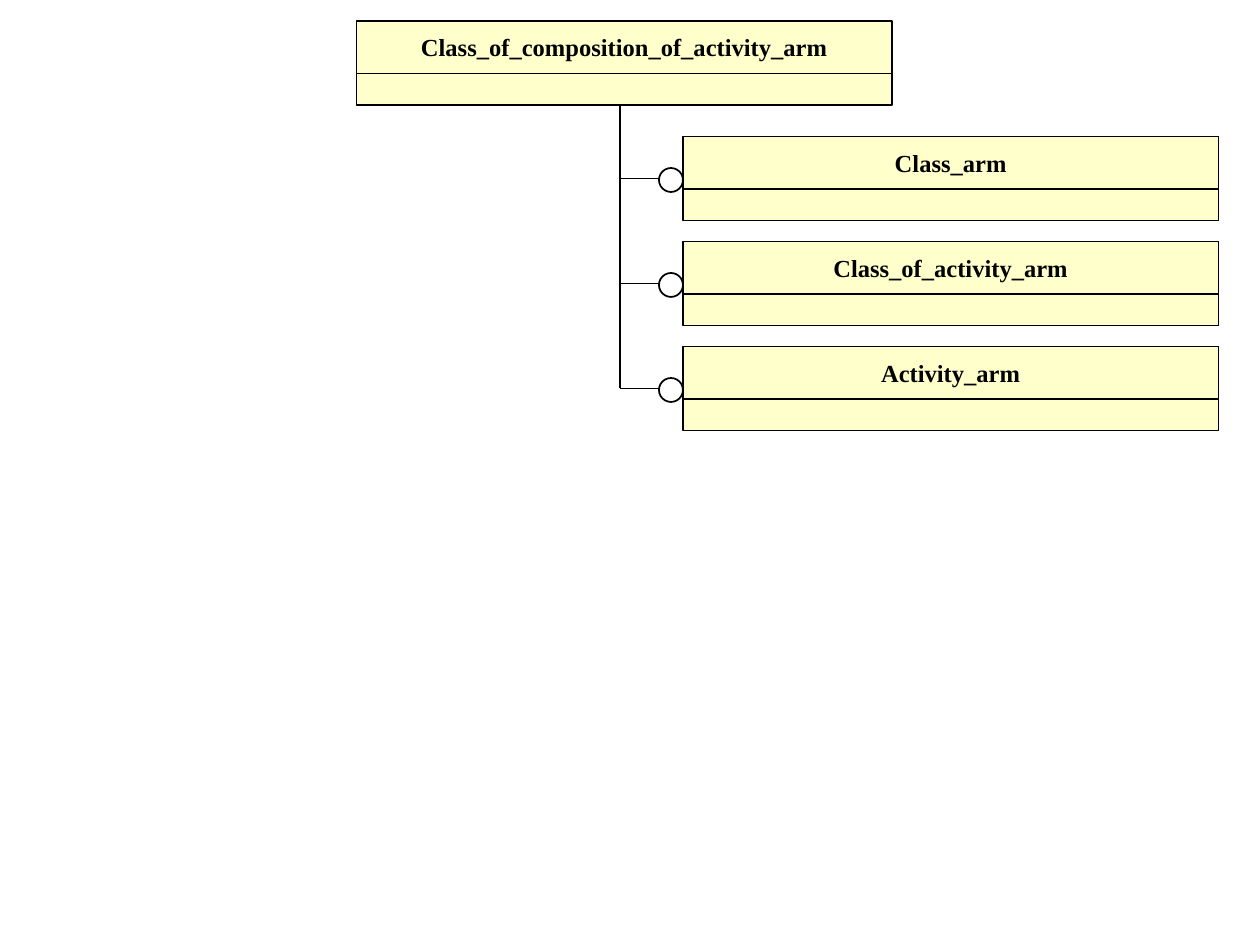
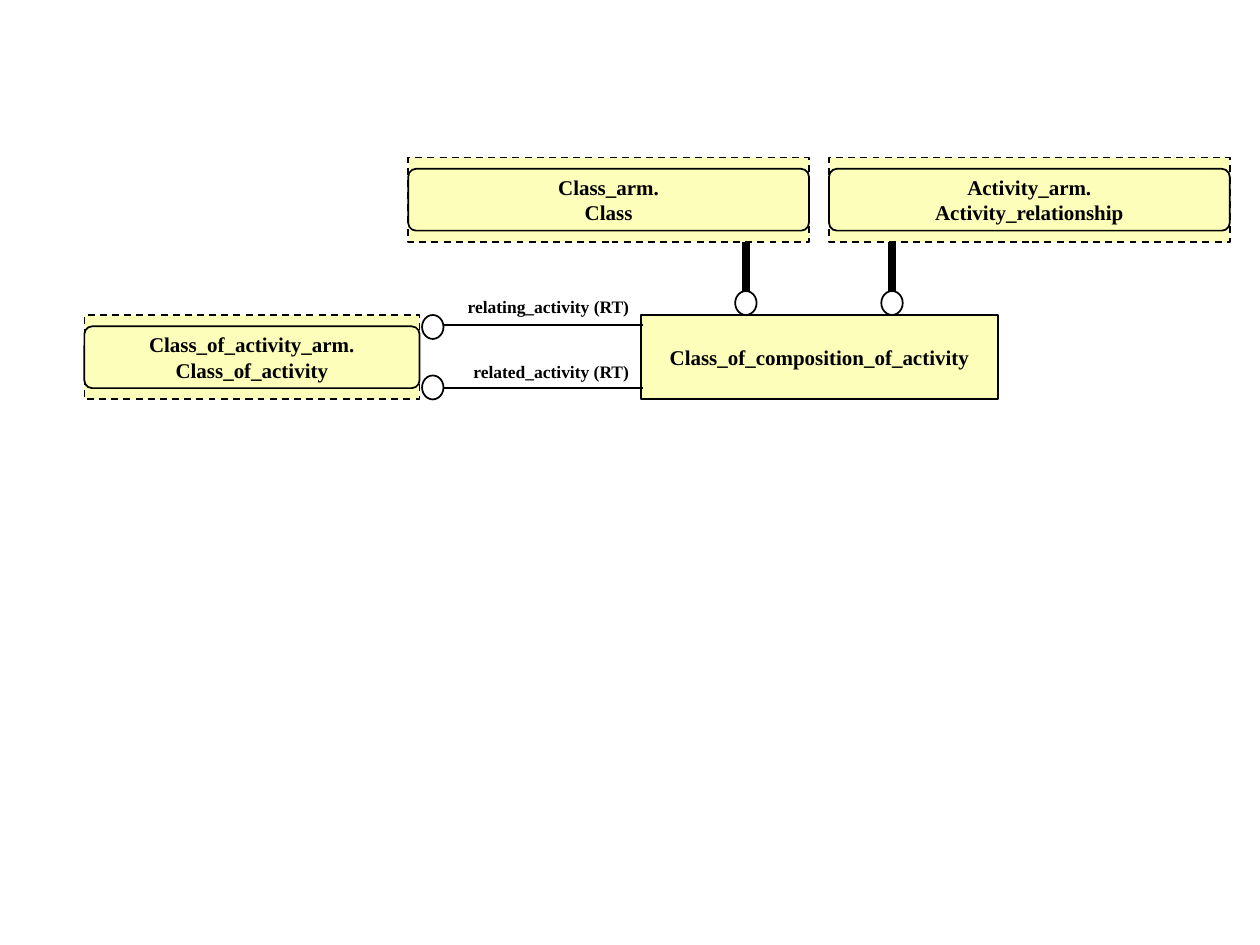
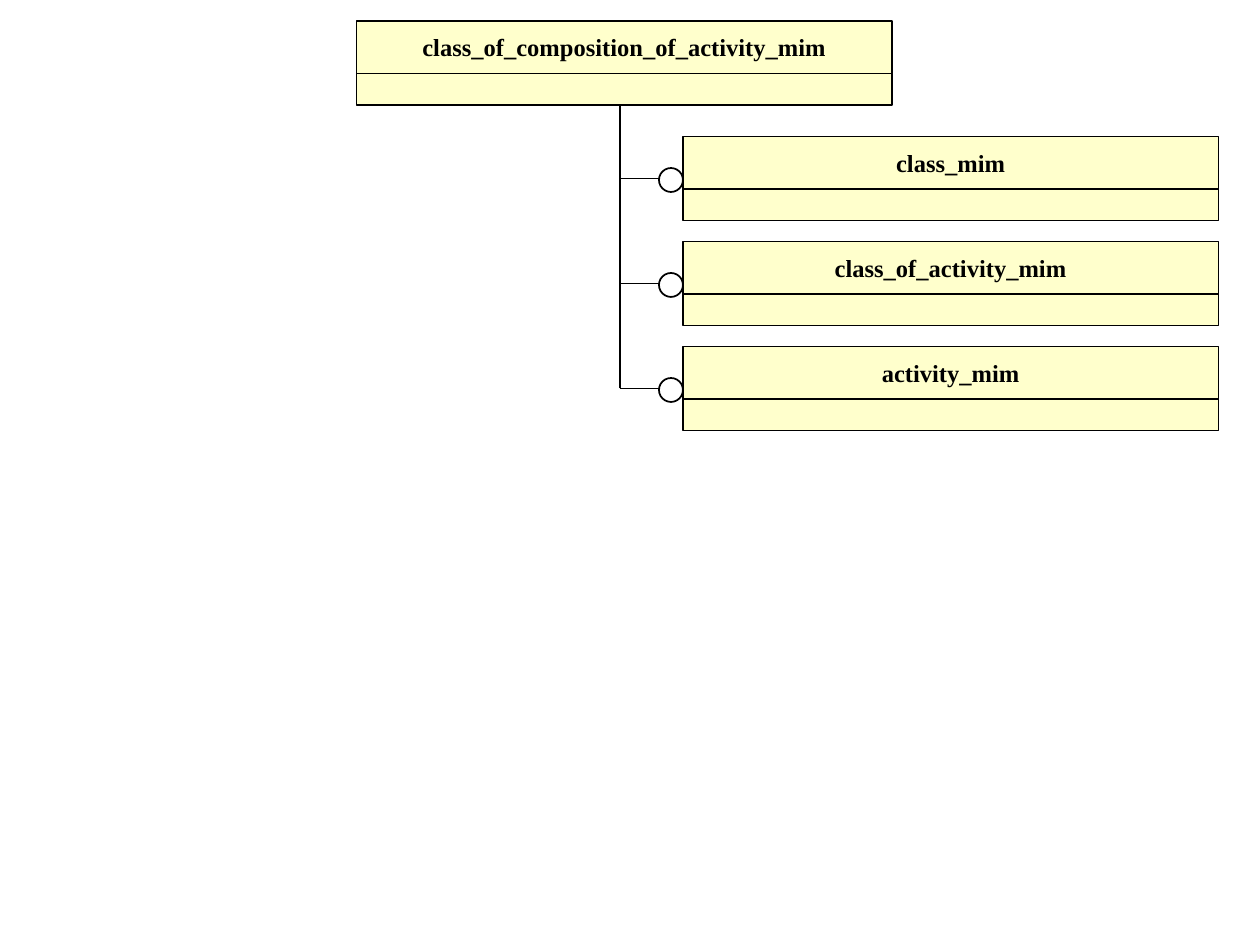
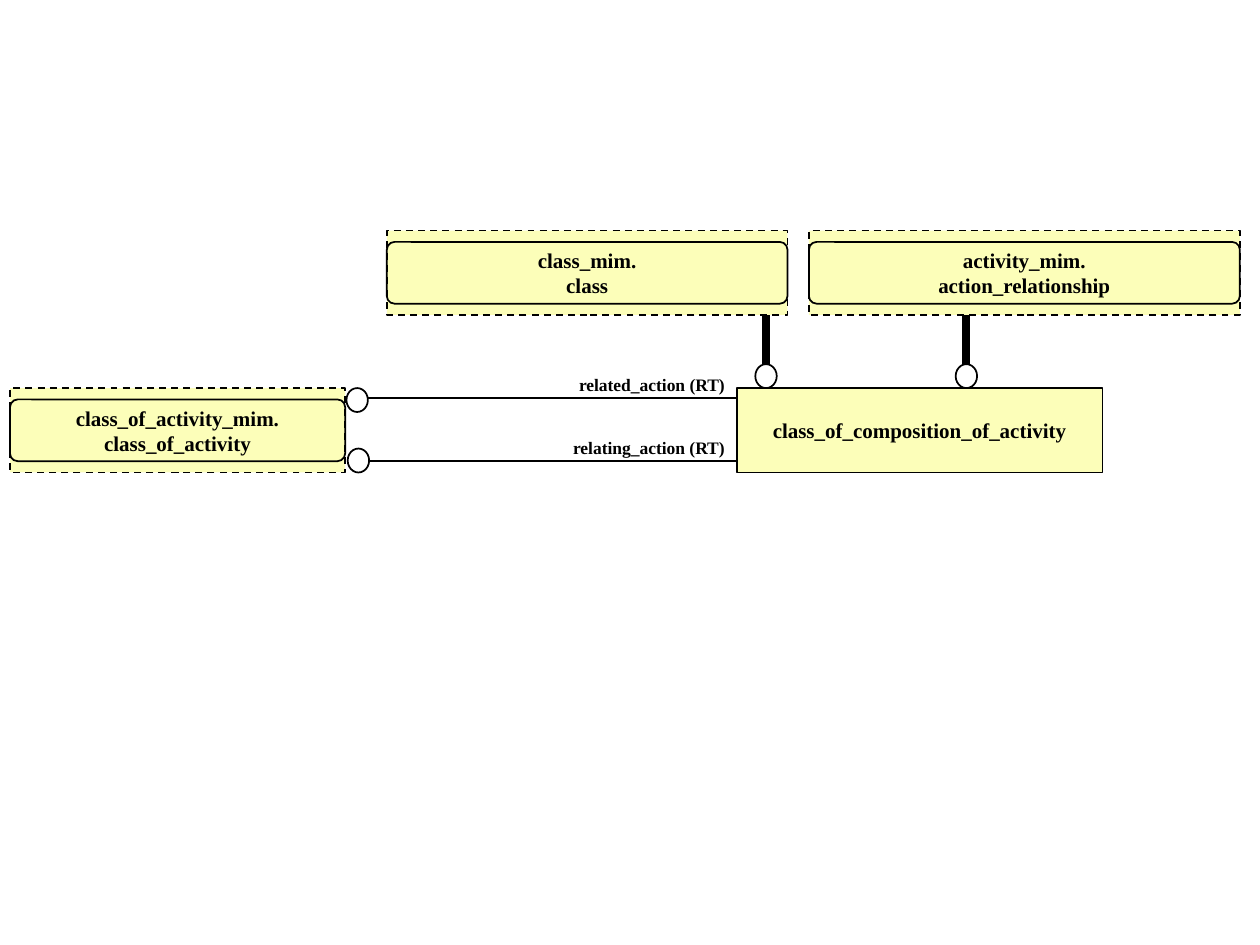
from pptx import Presentation
from pptx.dml.color import RGBColor
from pptx.enum.dml import MSO_LINE
from pptx.enum.shapes import MSO_CONNECTOR, MSO_SHAPE
from pptx.enum.text import MSO_ANCHOR, MSO_AUTO_SIZE, PP_ALIGN
from pptx.oxml.ns import qn
from pptx.util import Inches, Pt

RECT, ROUNDED, OVAL = MSO_SHAPE.RECTANGLE, MSO_SHAPE.ROUNDED_RECTANGLE, MSO_SHAPE.OVAL
STRAIGHT = MSO_CONNECTOR.STRAIGHT
CENTER, RIGHT = PP_ALIGN.CENTER, PP_ALIGN.RIGHT
MIDDLE = MSO_ANCHOR.MIDDLE
GROW = MSO_AUTO_SIZE.SHAPE_TO_FIT_TEXT
DASH = MSO_LINE.DASH

FONT = "Times New Roman"
BLACK, WHITE, CREAM, YELLOW = "000000", "FFFFFF", "FFFFCC", "FCFEB9"

ARM_SCHEMA = ("Class_of_composition_of_activity_arm",
              ["Class_arm", "Class_of_activity_arm", "Activity_arm"])
MIM_SCHEMA = ("class_of_composition_of_activity_mim",
              ["class_mim", "class_of_activity_mim", "activity_mim"])

# Boxes are (text, left, width); attributes are (text, left, top, circle left);
# supertypes are (text, left, width, x of the inheritance line).
ARM_ENTITIES = {
    "top": 2.5,
    "entity": ("Class_of_composition_of_activity", 5.09, 2.83),
    "target": ("Class_of_activity_arm.\nClass_of_activity", 0.67, 2.66),
    "attributes": [("relating_activity (RT)", 2.62, 2.3, 3.35),
                   ("related_activity (RT)", 3.65, 2.82, 3.35)],
    "supertypes": [("Class_arm.\nClass", 3.24, 3.18, 5.92),
                   ("Activity_arm.\nActivity_relationship", 6.58, 3.18, 7.08)],
}
MIM_ENTITIES = {
    "top": 3.08,
    "entity": ("class_of_composition_of_activity", 5.85, 2.9),
    "target": ("class_of_activity_mim.\nclass_of_activity", 0.08, 2.66),
    "attributes": [("related_action (RT)", 3, 2.92, 2.75),
                   ("relating_action (RT)", 4.42, 3.42, 2.76)],
    "supertypes": [("class_mim.\nclass", 3.07, 3.18, 6.08),
                   ("activity_mim.\naction_relationship", 6.42, 3.42, 7.67)],
}

# Schema tree
SCHEMA_WIDTH, NAME_HEIGHT, EMPTY_HEIGHT = 4.25, 5 / 12, 0.25
ROOT_LEFT, ROOT_TOP = 2.83, 1 / 6
MEMBER_LEFT, MEMBER_TOP, MEMBER_PITCH = 5.42, 13 / 12, 5 / 6
TRUNK_X = 4.92

# Entity diagram
ENTITY_HEIGHT = 0.67
SUPERTYPE_RISE = 1.25
CIRCLE_WIDTH, CIRCLE_HEIGHT = 0.17, 0.19


def color(hex_text):
    return RGBColor.from_string(hex_text)


def write(shape, text, size, align=CENTER):
    frame = shape.text_frame
    frame.text = text
    frame.word_wrap = False
    for para in frame.paragraphs:
        para.alignment = align
        para.font.name = FONT
        para.font.size = Pt(size)
        para.font.bold = True
        para.font.color.rgb = color(BLACK)


def draw(shapes, kind, left, top, width, height, fill=None, weight=1.0):
    shape = shapes.add_shape(kind, Inches(left), Inches(top), Inches(width), Inches(height))
    shape.shadow.inherit = False
    if fill:
        shape.fill.solid()
        shape.fill.fore_color.rgb = color(fill)
    else:
        shape.fill.background()
    shape.line.color.rgb = color(BLACK)
    shape.line.width = Pt(weight)
    return shape


def draw_named(shapes, text, size, *place, **style):
    shape = draw(shapes, RECT, *place, **style)
    shape.text_frame.vertical_anchor = MIDDLE
    write(shape, text, size)
    return shape


def draw_line(page, x1, y1, x2, y2, weight):
    line = page.shapes.add_connector(STRAIGHT, Inches(x1), Inches(y1), Inches(x2), Inches(y2))
    line.line.color.rgb = color(BLACK)
    line.line.width = Pt(weight)
    properties = line._element.spPr
    properties.append(properties.makeelement(qn("a:effectLst"), {}))


def draw_schema(page, name, left, top):
    """Draw a name compartment above an empty one."""
    group = page.shapes.add_group_shape().shapes
    draw_named(group, name, 14, left, top, SCHEMA_WIDTH, NAME_HEIGHT, fill=CREAM, weight=0.75)
    draw(group, RECT, left, top + NAME_HEIGHT, SCHEMA_WIDTH, EMPTY_HEIGHT, CREAM, 0.75)


def draw_reference(page, text, left, top, width):
    """Draw a dashed box around a rounded one, for an entity of another schema."""
    group = page.shapes.add_group_shape().shapes
    box = draw_named(group, text, 12, left, top, width, ENTITY_HEIGHT, fill=YELLOW)
    box.line.dash_style = DASH
    rounded = draw(group, ROUNDED, left, top + 0.09, width, 0.49)
    rounded.adjustments[0] = 0.125


def draw_label(page, text, left, top, right):
    width = right - left
    label = page.shapes.add_textbox(Inches(left), Inches(top), Inches(width), Inches(0.27))
    write(label, text, 10, RIGHT)
    label.text_frame.word_wrap = width > 2
    label.text_frame.auto_size = GROW


def schema_page(page, root, members):
    draw_schema(page, root, ROOT_LEFT, ROOT_TOP)
    tops = [MEMBER_TOP + row * MEMBER_PITCH for row in range(len(members))]
    root_bottom = ROOT_TOP + NAME_HEIGHT + EMPTY_HEIGHT
    draw_line(page, TRUNK_X, tops[-1] + 1 / 3, TRUNK_X, root_bottom, 0.75)
    for member, top in zip(members, tops):
        draw_schema(page, member, MEMBER_LEFT, top)
        draw_line(page, TRUNK_X, top + 1 / 3, 5.25, top + 1 / 3, 0.75)
        draw(page.shapes, OVAL, MEMBER_LEFT - 0.19, top + 0.25, 0.19, 0.19, WHITE)


def entity_page(page, top, entity, target, attributes, supertypes):
    name, left, width = entity
    draw_named(page.shapes, name, 12, left, top, width, ENTITY_HEIGHT, fill=YELLOW)

    text, target_left, target_width = target
    draw_reference(page, text, target_left, top, target_width)
    line_ys = (top + 0.08, top + 0.58)
    circle_tops = (top, top + ENTITY_HEIGHT - CIRCLE_HEIGHT)
    for attribute, line_y, circle_top in zip(attributes, line_ys, circle_tops):
        text, label_left, label_top, circle_left = attribute
        draw_line(page, circle_left + CIRCLE_WIDTH, line_y, left + 0.01, line_y, 1)
        draw(page.shapes, OVAL, circle_left, circle_top, CIRCLE_WIDTH, CIRCLE_HEIGHT, WHITE)
        draw_label(page, text, label_left, label_top, left)

    super_top = top - SUPERTYPE_RISE
    for text, super_left, super_width, line_x in supertypes:
        draw_reference(page, text, super_left, super_top, super_width)
        draw_line(page, line_x, super_top + ENTITY_HEIGHT, line_x, top - 0.17, 4.5)
        draw(page.shapes, OVAL, line_x - CIRCLE_WIDTH / 2, top - CIRCLE_HEIGHT,
             CIRCLE_WIDTH, CIRCLE_HEIGHT, WHITE)


def main():
    deck = Presentation()
    deck.slide_width, deck.slide_height = Inches(10), Inches(7.5)
    blank = deck.slide_layouts[6]
    for schema, entities in ((ARM_SCHEMA, ARM_ENTITIES), (MIM_SCHEMA, MIM_ENTITIES)):
        schema_page(deck.slides.add_slide(blank), *schema)
        entity_page(deck.slides.add_slide(blank), **entities)
    deck.save("out.pptx")


if __name__ == "__main__":
    main()
